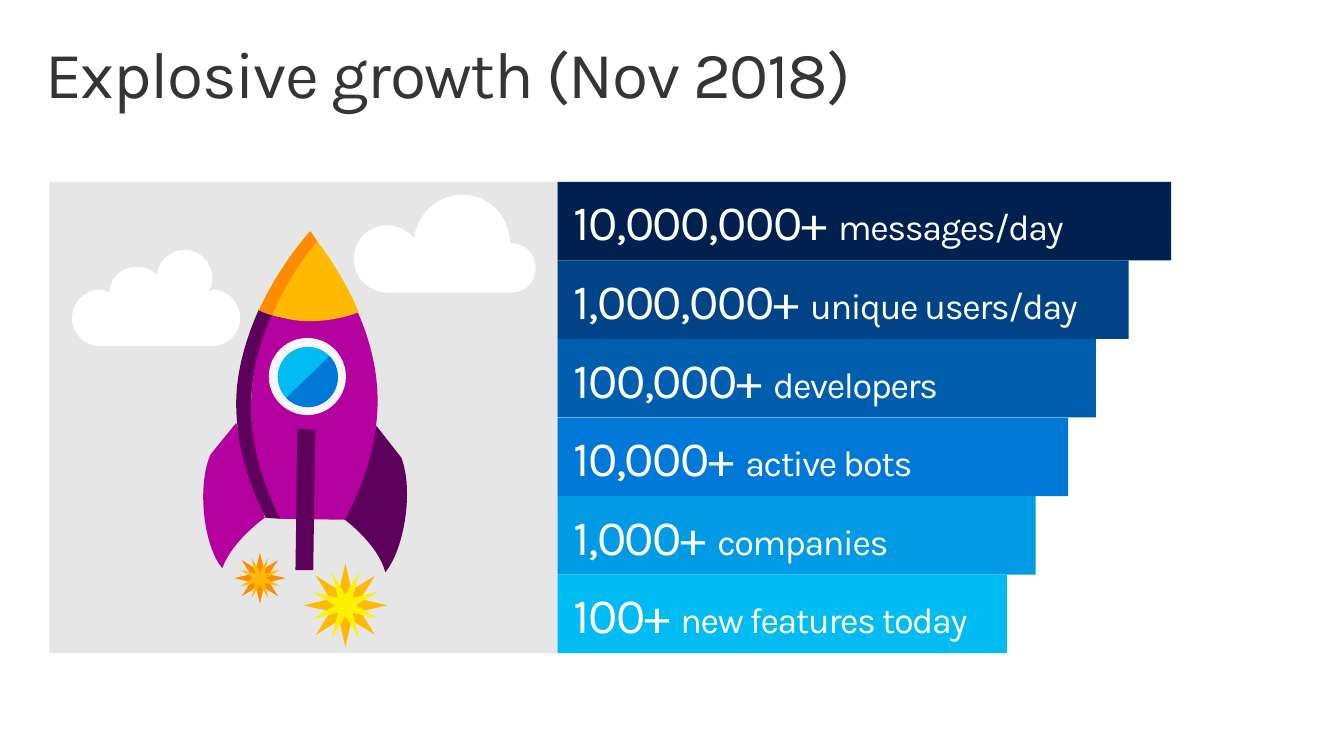
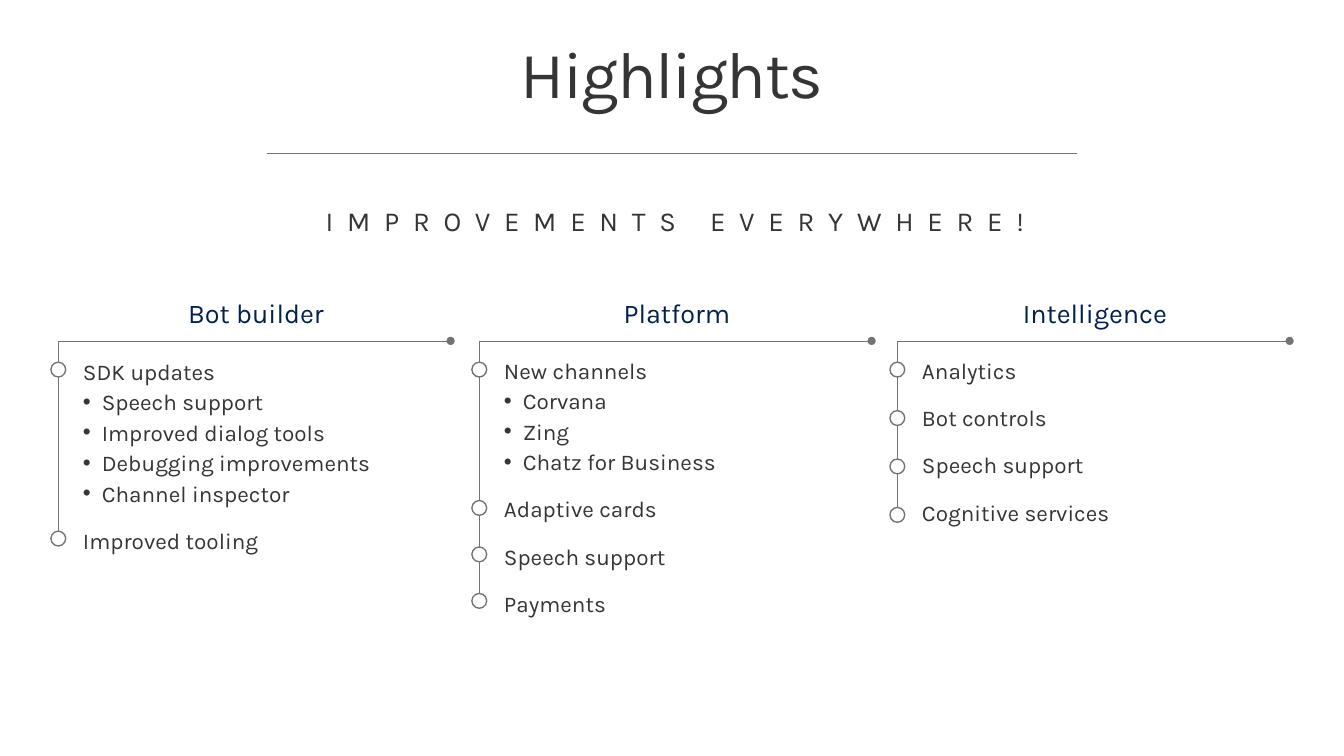
import pptx
import pptx.dml.color
import pptx.enum.shapes
import pptx.enum.text
import pptx.oxml
import pptx.oxml.ns
import pptx.util

Inches = pptx.util.Inches
Pt = pptx.util.Pt
SHAPE = pptx.enum.shapes.MSO_SHAPE
ALIGN = pptx.enum.text.PP_ALIGN
ANCHOR = pptx.enum.text.MSO_ANCHOR

FONT = "Karla"
WHITE, INK, NAVY, GRAY = "FFFFFF", "353535", "002050", "737373"
PANEL, PURPLE, PLUM = "E6E6E6", "B4009E", "5C005C"
ORANGE, AMBER, YELLOW = "FF8C00", "FFB900", "FFF100"
SKY, BLUE = "00BCF2", "0078D7"

BARS = [
    ("10,000,000+ ", "messages/day", 6.21, NAVY),
    ("1,000,000+ ", "unique users/day", 5.78, "004386"),
    ("100,000+ ", "developers", 5.45, "005EAF"),
    ("10,000+ ", "active bots", 5.17, BLUE),
    ("1,000+ ", "companies", 4.84, "009AE5"),
    ("100+ ", "new features today", 4.55, SKY),
]

# Outlines: a pair is a corner, six numbers are a Bezier curve.
BIG_CLOUD = [
    (1.59, 0.49), (1.58, 0.49), (1.58, 0.22, 1.37, 0, 1.1, 0),
    (0.85, 0, 0.64, 0.2, 0.61, 0.44), (0.54, 0.36, 0.45, 0.31, 0.34, 0.31),
    (0.15, 0.31, 0, 0.46, 0, 0.65), (0, 0.83, 0.15, 0.99, 0.34, 0.99),
    (1.59, 0.99), (1.74, 0.99, 1.84, 0.88, 1.84, 0.74),
    (1.84, 0.61, 1.74, 0.49, 1.59, 0.49),
]
SMALL_CLOUD = [
    (1.42, 0.4), (1.41, 0.4, 1.4, 0.42, 1.38, 0.42),
    (1.41, 0.37, 1.42, 0.33, 1.42, 0.29), (1.42, 0.13, 1.3, 0, 1.14, 0),
    (0.99, 0, 0.87, 0.11, 0.86, 0.25), (0.81, 0.2, 0.73, 0.17, 0.66, 0.17),
    (0.51, 0.17, 0.38, 0.27, 0.38, 0.43), (0.34, 0.42, 0.31, 0.4, 0.28, 0.4),
    (0.13, 0.4, 0, 0.53, 0, 0.69), (0, 0.85, 0.13, 0.97, 0.28, 0.97),
    (1.42, 0.97), (1.57, 0.97, 1.7, 0.85, 1.7, 0.69),
    (1.7, 0.53, 1.57, 0.4, 1.42, 0.4),
]
RIGHT_FIN = [
    (1.49, 2.96), (1.49, 2.96, 1.82, 3.2, 1.9, 3.49),
    (2.09, 3.26, 2.19, 2.66, 2.06, 2.33), (1.81, 2.01),
]
LEFT_FIN = [
    (0.68, 2.94), (0.68, 2.94, 0.35, 3.17, 0.25, 3.45),
    (0.06, 3.23, -0.01, 2.62, 0.13, 2.3), (0.39, 1.98),
]
HULL_SHADE = [
    (0.62, 0.83), (0.67, 0.86, 0.71, 0.87, 0.76, 0.89),
    (0.64, 1.14, 0.55, 1.45, 0.54, 1.78), (0.54, 2.23, 0.68, 2.63, 0.84, 2.95),
    (0.69, 2.94), (0.53, 2.63, 0.39, 2.23, 0.39, 1.78),
    (0.39, 1.44, 0.5, 1.1, 0.62, 0.83),
]
HULL = [
    (0.75, 0.89), (0.87, 0.92, 0.99, 0.94, 1.12, 0.94),
    (1.3, 0.94, 1.46, 0.91, 1.62, 0.86), (1.74, 1.13, 1.83, 1.46, 1.82, 1.81),
    (1.81, 2.25, 1.65, 2.66, 1.49, 2.96), (0.84, 2.95),
    (0.68, 2.64, 0.53, 2.23, 0.54, 1.79), (0.55, 1.45, 0.63, 1.15, 0.75, 0.89),
]
MIDDLE_FIN = [(0.99, 3.47), (1.17, 3.47), (1.19, 2.05), (1.01, 2.04)]
NOSE = [
    (1.21, 0.14), (1.14, 0.04), (1.14, 0.04, 0.84, 0.36, 0.62, 0.84),
    (0.67, 0.86, 0.71, 0.88, 0.76, 0.89), (0.87, 0.92, 0.99, 0.95, 1.12, 0.95),
    (1.3, 0.95, 1.47, 0.92, 1.63, 0.86), (1.49, 0.53, 1.31, 0.27, 1.21, 0.14),
]
NOSE_SHADE = [
    (0.76, 0.89), (0.71, 0.88, 0.67, 0.86, 0.62, 0.84),
    (0.84, 0.36, 1.14, 0.04, 1.14, 0.04), (1.21, 0.14),
    (1.11, 0.26, 0.92, 0.51, 0.77, 0.85),
]

# Left edge, list top, marker pitch, heading, topics with their sub-points.
COLUMNS = [
    (0.59, 3.54, 0.47, "Bot builder", [
        ("SDK updates", ["Speech support", "Improved dialog tools",
                         "Debugging improvements", "Channel inspector"]),
        ("Improved tooling", [])]),
    (4.85, 3.53, 0.47, "Platform", [
        ("New channels", ["Corvana", "Zing", "Chatz for Business"]),
        ("Adaptive cards", []), ("Speech support", []), ("Payments", [])]),
    (9.08, 3.53, 0.49, "Intelligence", [
        ("Analytics", []), ("Bot controls", []),
        ("Speech support", []), ("Cognitive services", [])]),
]
POINT_PITCH = 0.31


def rgb(value):
    return pptx.dml.color.RGBColor.from_string(value)


def element(xml):
    """Parse one drawing element, given without its namespace."""
    tag, _, rest = xml.partition(" ")
    return pptx.oxml.parse_xml(f'<a:{tag} {pptx.oxml.ns.nsdecls("a")} {rest}')


def paint(sp, fill=None, line=None, width=1):
    sp.shadow.inherit = False
    if fill:
        sp.fill.solid()
        sp.fill.fore_color.rgb = rgb(fill)
    else:
        sp.fill.background()
    if line:
        sp.line.color.rgb = rgb(line)
        sp.line.width = Pt(width)
    else:
        sp.line.fill.background()
    return sp


def add_preset(shapes, kind, x, y, w, h, fill, line=None):
    sp = shapes.add_shape(kind, Inches(x), Inches(y), Inches(w), Inches(h))
    return paint(sp, fill, line)


def style_run(r, size, color, spacing=0):
    r.font.name = FONT
    r.font.size = Pt(size)
    r.font.color.rgb = rgb(color)
    if spacing:
        r.font._element.set("spc", str(round(spacing * 100)))


def set_frame(tf, insets, anchor=ANCHOR.TOP):
    tf.word_wrap = True
    tf.vertical_anchor = anchor
    tf.margin_left, tf.margin_top, tf.margin_right, tf.margin_bottom = map(Inches, insets)


def add_label(shapes, box, text, size, color, insets, align=ALIGN.CENTER,
              anchor=ANCHOR.MIDDLE, spacing=0):
    tf = shapes.add_textbox(*map(Inches, box)).text_frame
    set_frame(tf, insets, anchor)
    p = tf.paragraphs[0]
    p.text = text
    p.alignment = align
    style_run(p.runs[0], size, color, spacing)
    return p


def add_title(s, text, align=ALIGN.LEFT):
    p = add_label(s.shapes, (0.3, 0.32, 13, 1), text, 48, INK,
                  (0.16, 0.1, 0.16, 0.1), align, ANCHOR.TOP, -1.02)
    p.line_spacing = 0.9


def add_outline(shapes, x, y, outline, close=True):
    """Draw the corners as a freeform, then bend the sides that are curves."""
    ends = [(Inches(x + part[-2]), Inches(y + part[-1])) for part in outline]
    builder = shapes.build_freeform(*ends[0])
    builder.add_line_segments(ends[1:], close=close)
    sp = builder.convert_to_shape()
    sides = sp._element.findall(".//" + pptx.oxml.ns.qn("a:lnTo"))
    for side, part in zip(sides, outline[1:]):
        if len(part) == 6:
            pts = "".join(f'<a:pt x="{Inches(x + px) - sp.left}" y="{Inches(y + py) - sp.top}"/>'
                          for px, py in zip(part[::2], part[1::2]))
            curve = element(f"cubicBezTo >{pts}</a:cubicBezTo>")
            side.getparent().replace(side, curve)
    return sp


def add_rocket(s, x, y):
    shapes = s.shapes.add_group_shape().shapes
    for outline, fill in [(RIGHT_FIN, PLUM), (LEFT_FIN, PURPLE), (HULL_SHADE, PLUM),
                          (HULL, PURPLE), (MIDDLE_FIN, PLUM), (NOSE, AMBER),
                          (NOSE_SHADE, ORANGE)]:
        paint(add_outline(shapes, x, y, outline), fill)
    add_preset(shapes, SHAPE.OVAL, x + 0.72, y + 1.12, 0.78, 0.78, "F7F7F7")
    glass = (x + 0.81, y + 1.21, 0.61, 0.61)
    add_preset(shapes, SHAPE.OVAL, *glass, SKY)
    shade = add_preset(shapes, SHAPE.CHORD, *glass, BLUE)
    for i, degrees in enumerate((316, 136)):
        shade.adjustments[i] = degrees * 0.6


def add_spark(s, x, y, size, inner, outer_fill, inner_fill):
    shapes = s.shapes.add_group_shape().shapes
    gap = (size - inner) / 2
    outer = add_preset(shapes, SHAPE.STAR_8_POINT, x, y, size, size, outer_fill)
    outer.adjustments[0] = 0.193
    core = add_preset(shapes, SHAPE.STAR_8_POINT, x + gap, y + gap, inner, inner, inner_fill)
    core.adjustments[0] = 0.146
    core.rotation = 337.4


def add_launch_panel(s, x, y, w, h):
    add_preset(s.shapes, SHAPE.RECTANGLE, x, y, w, h, PANEL)
    paint(add_outline(s.shapes, x + 3.08, y + 0.13, BIG_CLOUD), WHITE)
    paint(add_outline(s.shapes, x + 0.23, y + 0.69, SMALL_CLOUD), WHITE)
    add_spark(s, x + 2.57, y + 3.86, 0.85, 0.72, AMBER, YELLOW)
    add_spark(s, x + 1.87, y + 3.75, 0.52, 0.44, ORANGE, AMBER)
    add_rocket(s, x + 1.5, y + 0.46)


def add_bars(s, x, y, h):
    pitch = h / len(BARS)
    for i, (number, unit, w, fill) in enumerate(BARS):
        sp = add_preset(s.shapes, SHAPE.RECTANGLE, x, y + i * pitch, w, pitch, fill)
        set_frame(sp.text_frame, (0.16, 0.08, 0.08, 0.08), ANCHOR.MIDDLE)
        p = sp.text_frame.paragraphs[0]
        p.alignment = ALIGN.LEFT
        for text, size in ((number, 36), (unit, 26.2)):
            r = p.add_run()
            r.text = text
            style_run(r, size, WHITE, -1)


def add_bullet(p):
    pPr = p._p.get_or_add_pPr()
    pPr.set("marL", str(Inches(0.19)))
    pPr.set("indent", str(Inches(-0.19)))
    pPr.append(element('buFont typeface="Arial"/>'))
    pPr.append(element('buChar char="•"/>'))


def add_topic_list(shapes, x, y, w, h, topics):
    tf = shapes.add_textbox(*map(Inches, (x, y, w, h))).text_frame
    set_frame(tf, (0.25, 0.08, 0.08, 0.04))
    lines = [(text, i > 0) for topic, points in topics
             for i, text in enumerate([topic] + points)]
    for i, (text, is_point) in enumerate(lines):
        p = tf.add_paragraph() if i else tf.paragraphs[0]
        p.text = text
        if is_point:
            add_bullet(p)
        if i:
            p.space_before = Pt(2.5 if is_point else 14.8)
        style_run(p.runs[0], 16.4, INK)


def add_column(s, x, y, w, list_y, pitch, heading, topics):
    shapes = s.shapes.add_group_shape().shapes
    rail_y, marker = y + 0.57, 0.15
    stops, stop = [], 0.29
    for _, points in topics:
        stops.append(stop)
        stop += pitch + len(points) * POINT_PITCH
    add_topic_list(shapes, x, list_y, w, stop + 0.4, topics)
    rail = add_outline(shapes, x, rail_y, [(w - 0.03, 0), (0, 0), (0, stops[-1])], False)
    paint(rail, line=GRAY, width=0.25)
    rail.line._get_or_add_ln().append(element('headEnd type="oval"/>'))
    for stop in stops:
        add_preset(shapes, SHAPE.OVAL, x - marker / 2, rail_y + stop - marker / 2,
                   marker, marker, WHITE, GRAY)
    add_label(shapes, (x, y, w, 0.57), heading, 19.7, NAVY, (0.08, 0.04, 0.08, 0.04))


def add_rule(s, x, y, w):
    line = s.shapes.add_connector(pptx.enum.shapes.MSO_CONNECTOR.STRAIGHT,
                                  Inches(x), Inches(y), Inches(x + w), Inches(y))
    line.line.color.rgb = rgb(GRAY)
    line.line.width = Pt(0.75)
    line._element.spPr.append(element("effectLst />"))


def growth_slide(s):
    add_title(s, "Explosive growth (Nov 2018)")
    add_bars(s, 5.64, 1.84, 4.77)
    add_launch_panel(s, 0.5, 1.84, 5.14, 4.77)


def highlights_slide(s):
    add_title(s, "Highlights", ALIGN.CENTER)
    add_rule(s, 2.7, 1.55, 8.2)
    add_label(s.shapes, (2.7, 1.59, 8.14, 1.29), "IMPROVEMENTS EVERYWHERE!", 20, INK,
              (0.2, 0.04, 0.08, 0.04), spacing=10)
    for x, *details in COLUMNS:
        add_column(s, x, 2.88, 4, *details)


def main():
    prs = pptx.Presentation()
    prs.slide_width, prs.slide_height = Inches(13.6), Inches(7.65)
    for build in (growth_slide, highlights_slide):
        build(prs.slides.add_slide(prs.slide_layouts[6]))
    prs.save("out.pptx")


if __name__ == "__main__":
    main()
